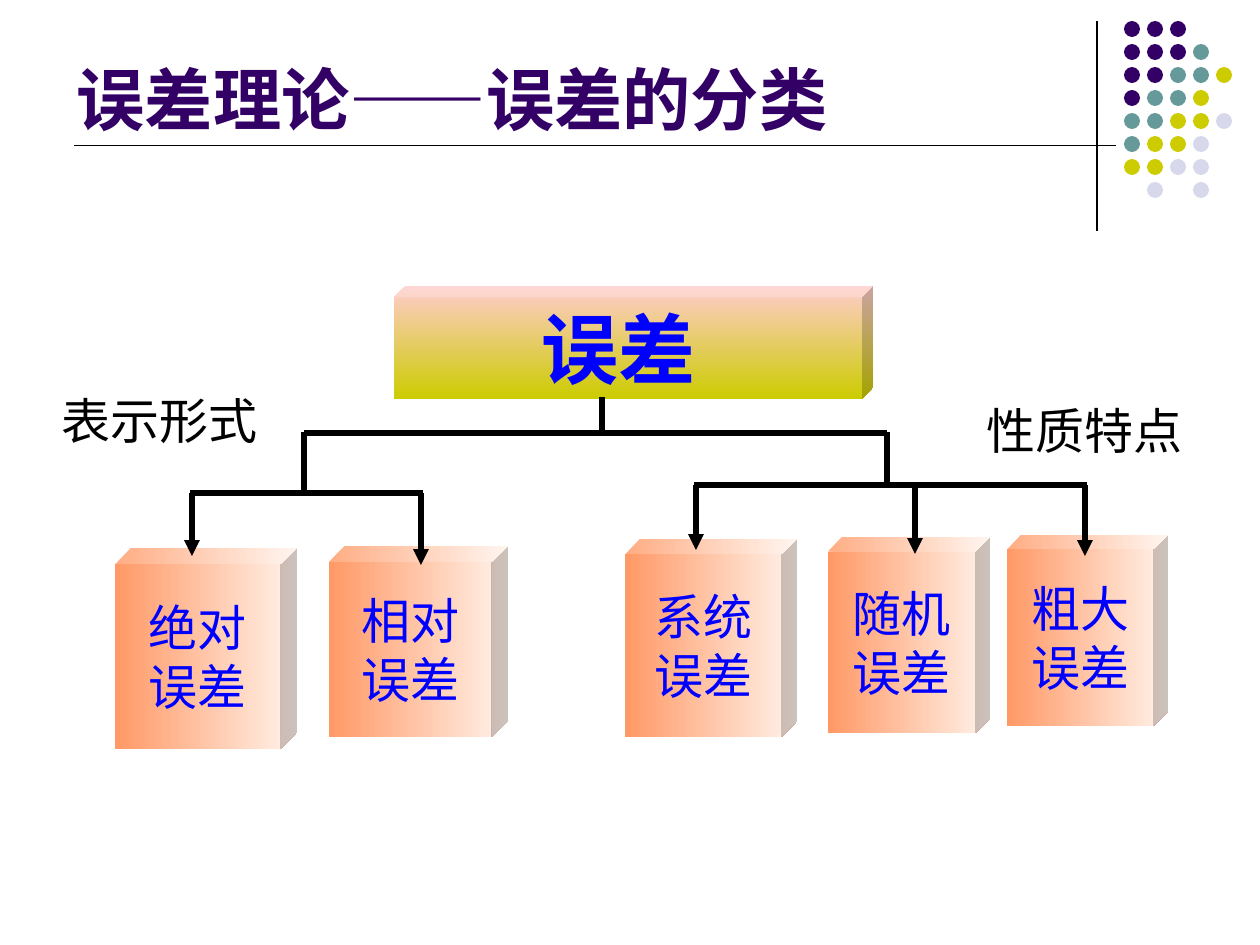
import pptx
import pptx.util
import pptx.dml.color
import pptx.enum.dml
import pptx.enum.lang
import pptx.enum.shapes
import pptx.enum.text
import pptx.oxml.ns
from lxml import etree

PX = 914400 / 126
COLORS = {
    "black": "000000", "purple": "330066", "teal": "669999", "olive": "CCCC00",
    "lilac": "D8D8EC", "pink": "FFCCCC", "orange": "FF9966", "cream": "FFF3EB",
    "blue": "0000FF",
}
DOT_ROWS = ["PPP", "PPPT", "PPTTO", "PTTO", "TTOOL", "TOOL", "OOLL", "-L-L"]
DOT_COLORS = {"P": "purple", "T": "teal", "O": "olive", "L": "lilac"}
CJK_FONT = "Noto Sans CJK SC"
ALIGN = pptx.enum.text.PP_ALIGN
ANCHOR = pptx.enum.text.MSO_ANCHOR
SHAPE = pptx.enum.shapes.MSO_SHAPE


def emu(*lengths):
    return [pptx.util.Emu(round(length * PX)) for length in lengths]


def rgb(name):
    return pptx.dml.color.RGBColor.from_string(COLORS[name])


def write(frame, text, size=28, color="black", font="Arial", bold=False,
          align=ALIGN.LEFT, anchor=ANCHOR.TOP, wrap=True):
    frame.word_wrap = wrap
    frame.vertical_anchor = anchor
    for index, line in enumerate(text.split("\n")):
        paragraph = frame.add_paragraph() if index else frame.paragraphs[0]
        paragraph.alignment = align
        run = paragraph.add_run()
        run.text = line
        run.font.size = pptx.util.Pt(size)
        run.font.bold = bold
        run.font.color.rgb = rgb(color)
        run.font.name = font
        run.font.language_id = pptx.enum.lang.MSO_LANGUAGE_ID.SIMPLIFIED_CHINESE
        east_asian = etree.SubElement(run._r.get_or_add_rPr(), pptx.oxml.ns.qn("a:ea"))
        east_asian.set("typeface", CJK_FONT)


def add_line(slide, start, end, width=3, arrow=False):
    line = slide.shapes.add_connector(
        pptx.enum.shapes.MSO_CONNECTOR.STRAIGHT, *emu(*start, *end))
    line.line.width = pptx.util.Pt(width)
    line.line.color.rgb = rgb("black")
    if arrow:
        tail = etree.SubElement(line.line._get_or_add_ln(), pptx.oxml.ns.qn("a:tailEnd"))
        tail.set("type", "triangle")
    etree.SubElement(line._element.spPr, pptx.oxml.ns.qn("a:effectLst"))


def add_cube(slide, box, text, colors, angle=0, depth=0.09, **text_format):
    cube = slide.shapes.add_shape(SHAPE.CUBE, *emu(*box))
    cube.adjustments[0] = depth
    cube.shadow.inherit = False
    cube.line.fill.background()
    cube.fill.gradient()
    cube.fill.gradient_angle = angle
    for stop, color in zip(cube.fill.gradient_stops, colors):
        stop.color.rgb = rgb(color)
    write(cube.text_frame, text, color="blue", align=ALIGN.CENTER,
          anchor=ANCHOR.MIDDLE, wrap=False, **text_format)


def add_dots(slide, left, top, pitch=23, size=16):
    for row, codes in enumerate(DOT_ROWS):
        for column, code in enumerate(codes):
            if code not in DOT_COLORS:
                continue
            dot = slide.shapes.add_shape(
                SHAPE.OVAL, *emu(left + column * pitch, top + row * pitch, size, size))
            dot.shadow.inherit = False
            dot.line.fill.background()
            dot.fill.solid()
            dot.fill.fore_color.rgb = rgb(DOT_COLORS[code])


def add_header(slide, left, top, width, height):
    bottom = top + height
    add_line(slide, (1097, 21), (1097, 231), width=0.75)
    add_dots(slide, 1124, 21)
    add_line(slide, (left + 10, bottom), (left + 1052, bottom), width=0.5)
    title = slide.shapes.title
    title.left, title.top, title.width, title.height = emu(left, top, width, height)
    title.text_frame.auto_size = pptx.enum.text.MSO_AUTO_SIZE.NONE
    write(title.text_frame, "误差理论——误差的分类", size=39, color="purple",
          bold=True, anchor=ANCHOR.BOTTOM)


def add_root(slide, left, top, width, height, child_stems):
    """Top cube and the lines that lead down to the stem of each branch."""
    add_cube(slide, (left, top, width, height), "误差 ", ("pink", "olive"),
             angle=270, depth=0.1, size=44, bold=True)
    stem, bar = left + 208, top + 147
    add_line(slide, (stem, bar - 36), (stem, bar))
    for child in child_stems:
        add_line(slide, (child, bar), (stem, bar))


def add_branch(slide, left, top, stem, bar, label, label_offset, leaves):
    """Leaf cubes, their arrows and a label; leaves are (text, box, arrow tip)."""
    for text, (x, y, width, height), _ in leaves:
        add_cube(slide, (left + x, top + y, width, height), text, ("orange", "cream"))
    bar_y = top + bar
    tips = [(left + x, top + y) for _, _, (x, y) in leaves]
    add_line(slide, (left + stem, top + 48), (left + stem, bar_y))
    add_line(slide, (tips[0][0] - 2, bar_y), (tips[-1][0] + 2, bar_y))
    for x, y in tips:
        add_line(slide, (x, bar_y), (x, y), arrow=True)
    x, y = label_offset
    caption = slide.shapes.add_textbox(*emu(left + x, top + y, 258, 72))
    write(caption.text_frame, label, font=CJK_FONT)


def main():
    deck = pptx.Presentation()
    deck.slide_width, deck.slide_height = emu(1260, 945)
    slide = deck.slides.add_slide(deck.slide_layouts[5])
    add_header(slide, 64, 15, 1040, 130)
    add_root(slide, 394, 286, 479, 113, child_stems=(304, 887))
    add_branch(slide, 49, 384, 255, 109, "表示形式", (0, 0), [
        ("绝对\n误差", (66, 164, 182, 201), (143, 172)),
        ("相对\n误差", (280, 162, 179, 191), (372, 181)),
    ])
    add_branch(slide, 625, 384, 262, 101, "性质特点", (349, 10), [
        ("系统\n误差", (0, 155, 172, 198), (71, 166)),
        ("随机\n误差", (203, 153, 162, 196), (290, 170)),
        ("粗大\n误差", (382, 151, 161, 191), (460, 172)),
    ])
    deck.save("out.pptx")


if __name__ == "__main__":
    main()
